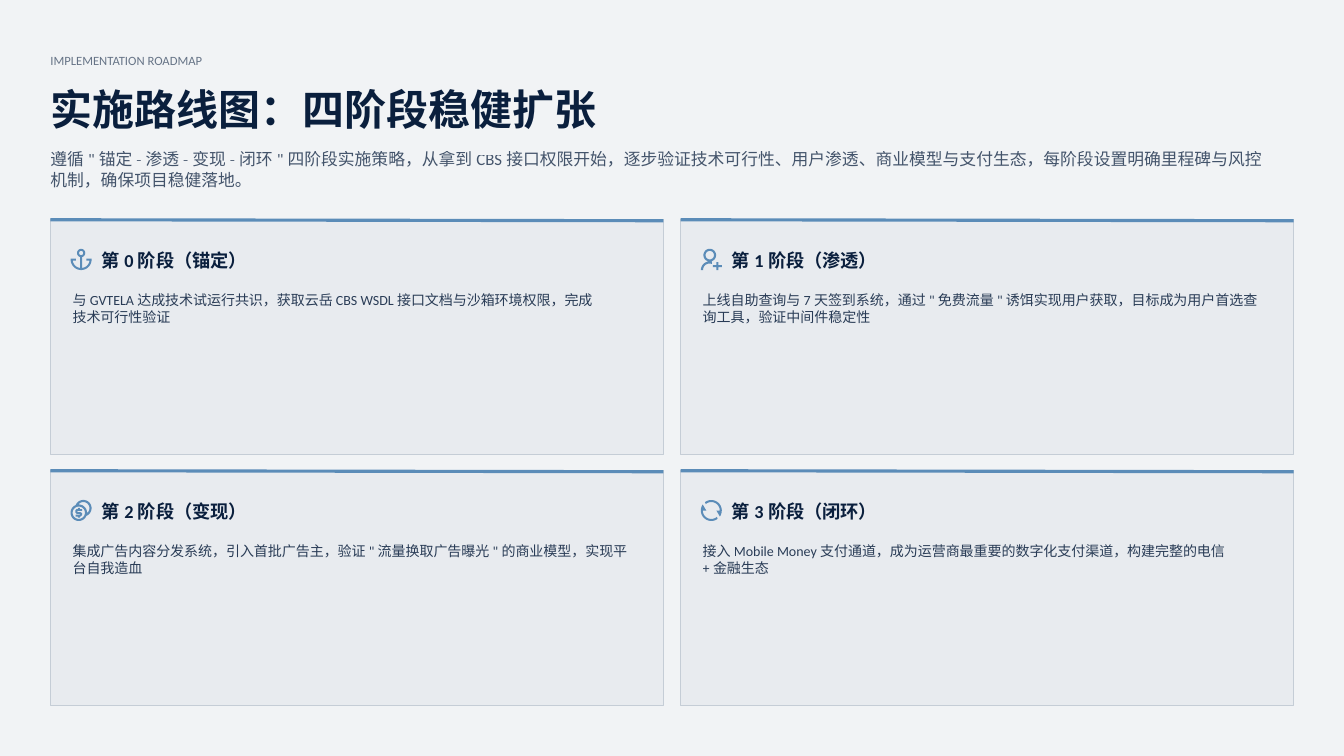
import math
import pptx
import pptx.util
import pptx.dml.color
import pptx.enum.shapes
import pptx.enum.text
import pptx.oxml.ns
import pptx.oxml.xmlchemy
from pptx.util import Inches

NAVY, BLUE = "0A1F3D", "5B8CB8"
LABEL = "IMPLEMENTATION ROADMAP"
TITLE = "实施路线图：四阶段稳健扩张"
INTRO = [
    "遵循\"锚定-渗透-变现-闭环\"四阶段实施策略，从拿到CBS接口权限开始，逐步验证技术可行性、用户渗透、商业模型与支付生态，每阶段设置明确里程碑与风控",
    "机制，确保项目稳健落地。",
]
STAGES = [
    ("anchor", "第0阶段（锚定）",
     ["与GVTELA达成技术试运行共识，获取云岳CBS WSDL接口文档与沙箱环境权限，完成", "技术可行性验证"]),
    ("user", "第1阶段（渗透）",
     ["上线自助查询与7天签到系统，通过\"免费流量\"诱饵实现用户获取，目标成为用户首选查", "询工具，验证中间件稳定性"]),
    ("coins", "第2阶段（变现）",
     ["集成广告内容分发系统，引入首批广告主，验证\"流量换取广告曝光\"的商业模型，实现平", "台自我造血"]),
    ("cycle", "第3阶段（闭环）",
     ["接入Mobile Money支付通道，成为运营商最重要的数字化支付渠道，构建完整的电信", "+金融生态"]),
]
FORMATS = {
    "label": {"size": pptx.util.Pt(9), "name": "Calibri", "bold": False},
    "title": {"size": pptx.util.Pt(30), "name": "Calibri", "bold": True},
    "intro": {"size": pptx.util.Pt(12), "name": "Calibri", "bold": False},
    "heading": {"size": pptx.util.Pt(13), "name": "Calibri", "bold": True},
    "detail": {"size": pptx.util.Pt(10), "name": "Calibri", "bold": False},
}
ALPHA = {"label": 60, "intro": 75, "detail": 85}
MARGIN, CARDS_TOP = 0.5, 2.18
CARD_W, CARD_H = 6.08, 2.33
STEP_X, STEP_Y = 6.25, 2.49


def arc(cx, cy, radius, start, end):
    n = max(2, math.ceil(abs(end - start) / 8))
    angles = [math.radians(start + (end - start) * i / n) for i in range(n + 1)]
    return [(cx + radius * math.cos(a), cy + radius * math.sin(a)) for a in angles]


def ring(cx, cy, outer, inner):
    return [arc(cx, cy, radius, 0, 360) for radius in (outer, inner)]


def anchor():
    body = [(0.1, 9.5), (5.2, 9.5), (5.2, 11.6), (2.2, 11.6)]
    body += arc(10.5, 10.5, 8.4, 173, 97) + [(9.5, 8), (11.5, 8)]
    body += arc(10.5, 10.5, 8.4, 83, 7)
    body += [(18.8, 11.6), (15.8, 11.6), (15.8, 9.5), (20.9, 9.5)]
    body += arc(10.5, 10.5, 10.4, 0, 180)
    return ring(10.5, 4, 4.1, 2.1) + [body]


def user():
    shoulder = arc(8.8, 21, 8.6, 180, 285) + arc(8.8, 21, 6.5, 290, 180)
    plus = [(12, 16), (15.5, 16), (15.5, 13), (17.6, 13), (17.6, 16), (21, 16),
            (21, 18), (17.6, 18), (17.6, 21), (15.5, 21), (15.5, 18), (12, 18)]
    return ring(9, 6.2, 6.3, 4.2) + [shoulder, plus]


def coins():
    front, back = (8.2, 12.7), (12.7, 8.2)
    outline = arc(*back, 8.2, -157, 67) + arc(*front, 8.2, 23, 247)
    crescent = arc(*back, 6.1, -142, 52) + arc(*front, 8.2, 2, -92)
    dollar = [(7.2, 8), (9.2, 8), (9.2, 9), (11.4, 9), (11.4, 11), (7, 11),
              (6.6, 11.5), (7, 12), (9.6, 12), (11.6, 13.2), (11.6, 15),
              (10, 16.5), (9.2, 16.5), (9.2, 17.5), (7.2, 17.5), (7.2, 16.5),
              (5, 16.5), (5, 14.5), (9.2, 14.5), (9.5, 14.2), (9.2, 13.8),
              (6.2, 13.8), (4.7, 12.4), (4.7, 10.5), (6, 9), (7.2, 9)]
    return [outline, crescent, arc(*front, 6.1, 0, 360), dollar]


def cycle():
    half = arc(10.5, 10.5, 10.4, -127, 35) + [(15.5, 10.5), (18.9, 10.5)]
    half += arc(10.5, 10.5, 8.4, 0, -131)
    return [half, [(21 - x, 21 - y) for x, y in half]]


ICONS = {"anchor": anchor, "user": user, "coins": coins, "cycle": cycle}


def paint(color, value):
    color.rgb = pptx.dml.color.RGBColor.from_string(value)


def fill(target, value):
    target.fill.solid()
    paint(target.fill.fore_color, value)


def write(sp, lines, role, wrap):
    tf = sp.text_frame
    settings = {
        "margin_left": 0, "margin_right": 0, "margin_top": 0, "margin_bottom": 0,
        "word_wrap": wrap, "auto_size": pptx.enum.text.MSO_AUTO_SIZE.NONE,
        "vertical_anchor": pptx.enum.text.MSO_ANCHOR.TOP,
    }
    for key, value in settings.items():
        setattr(tf, key, value)
    for i, line in enumerate(lines):
        p = tf.paragraphs[0] if i == 0 else tf.add_paragraph()
        p.alignment = pptx.enum.text.PP_ALIGN.LEFT
        r = p.add_run()
        r.text = line
        for key, value in FORMATS[role].items():
            setattr(r.font, key, value)
        paint(r.font.color, NAVY)
        if role in ALPHA:
            srgb = r._r.find(".//" + pptx.oxml.ns.qn("a:srgbClr"))
            alpha = pptx.oxml.xmlchemy.OxmlElement("a:alpha")
            alpha.set("val", str(ALPHA[role] * 1000))
            srgb.append(alpha)


def add_text(s, box, lines, role, wrap=False):
    write(s.shapes.add_textbox(*map(Inches, box)), lines, role, wrap)


def add_icon(s, name, x, y):
    contours = [[(100 * u, 100 * v) for u, v in c] for c in ICONS[name]()]
    fb = s.shapes.build_freeform(*contours[0][0], scale=Inches(0.01) / 100)
    fb.add_line_segments(contours[0][1:], close=True)
    for contour in contours[1:]:
        fb.move_to(*contour[0])
        fb.add_line_segments(contour[1:], close=True)
    sp = fb.convert_to_shape(Inches(x), Inches(y))
    sp.shadow.inherit = False
    fill(sp, BLUE)
    sp.line.fill.background()


def add_card(s, x, y, icon, heading, detail):
    sp = s.shapes.add_shape(pptx.enum.shapes.MSO_SHAPE.RECTANGLE,
                            *map(Inches, (x, y, CARD_W, CARD_H)))
    sp.shadow.inherit = False
    fill(sp, "E8EBEF")
    paint(sp.line.color, "C5CDD6")
    sp.line.width = pptx.util.Pt(0.75)
    rule = s.shapes.add_connector(pptx.enum.shapes.MSO_CONNECTOR.STRAIGHT,
                                  *map(Inches, (x, y, x + CARD_W, y + 0.01)))
    paint(rule.line.color, BLUE)
    rule.line.width = pptx.util.Pt(2.25)
    rule._element.spPr.append(pptx.oxml.xmlchemy.OxmlElement("a:effectLst"))
    add_icon(s, icon, x + 0.2, y + 0.29)
    add_text(s, (x + 0.51, y + 0.29, 1.45, 0.21), [heading], "heading")
    add_text(s, (x + 0.22, y + 0.71, 5.86, 0.41), detail, "detail", True)


def main():
    prs = pptx.Presentation()
    prs.slide_width, prs.slide_height = Inches(13.33), Inches(7.5)
    s = prs.slides.add_slide(prs.slide_layouts[5])
    fill(s.background, "F1F3F5")
    add_text(s, (MARGIN, 0.52, 12.33, 0.15), [LABEL], "label")
    title = s.shapes.title
    box = zip(("left", "top", "width", "height"), (MARGIN, 0.83, 12.33, 0.46))
    for key, value in box:
        setattr(title, key, Inches(value))
    write(title, [TITLE], "title", False)
    add_text(s, (MARGIN, 1.48, 12.33, 0.44), INTRO, "intro", True)
    for i, stage in enumerate(STAGES):
        row, col = divmod(i, 2)
        add_card(s, MARGIN + col * STEP_X, CARDS_TOP + row * STEP_Y, *stage)
    prs.save("out.pptx")


if __name__ == "__main__":
    main()
